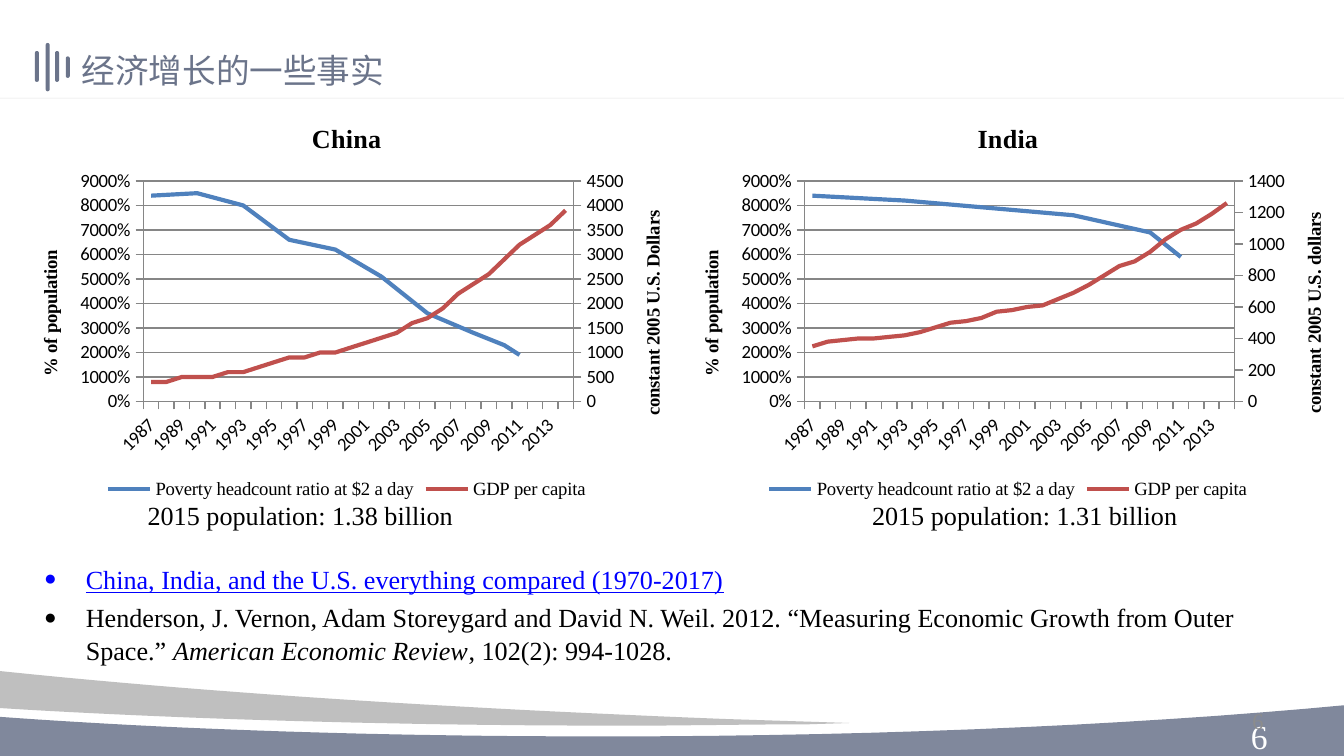
from copy import deepcopy
from dataclasses import dataclass

from lxml import etree
from pptx import Presentation
from pptx import util as u
from pptx.chart.data import CategoryChartData
from pptx.dml.color import RGBColor
from pptx.enum import chart as ch
from pptx.enum import shapes, text
from pptx.oxml.ns import qn

SERIF = "Times New Roman"
SLATE = "6B748A"
BLACK = "000000"
NBSP = chr(160)
CELL = u.Inches(0.1)
COLS, ROWS = 100, 56.25
YEARS = [str(y) for y in range(1987, 2015)]


@dataclass
class Panel:
    name: str
    col: float
    unit: str
    top: int
    step: int
    poverty: dict[int, int]
    gdp: list[int]


@dataclass
class Bar:
    col: float
    row: float
    height: float


PANELS = [
    Panel("China", 0.8, "constant 2005 U.S. Dollars", 4500, 500,
          {1987: 84, 1990: 85, 1993: 80, 1996: 66, 1999: 62, 2002: 51,
           2005: 36, 2008: 28, 2010: 23, 2011: 19},
          [400, 400, 500, 500, 500, 600, 600, 700, 800, 900, 900, 1000, 1000, 1100,
           1200, 1300, 1400, 1600, 1700, 1900, 2200, 2400, 2600, 2900, 3200, 3400,
           3600, 3900]),
    Panel("India", 50, "constant 2005 U.S. dollars", 1400, 200,
          {1987: 84, 1993: 82, 2004: 76, 2009: 69, 2011: 59},
          [350, 380, 390, 400, 400, 410, 420, 440, 470, 500, 510, 530, 570, 580,
           600, 610, 650, 690, 740, 800, 860, 890, 950, 1030, 1090, 1130, 1190, 1260]),
]
BARS = [Bar(3.4, 3.2, 3.6), Bar(2.6, 3.8, 2.3), Bar(4.1, 3.8, 2.3), Bar(4.9, 4.2, 1.6)]
BLUE_WAVE = [(125, 49), (125, ROWS), (-8.3, ROWS), (-8.3, 52.7), (-0.6, 53.3),
             [(12.9, 54.3), (28.4, 54.8), (44.9, 54.8)],
             [(77.9, 54.8), (106.9, 52.6), (124.1, 49.2)]]
GREY_WAVE = [(-8.3, 49), (-1.3, 49.8), [(14.6, 51.5), (33.3, 52.7), (53.9, 53.5)],
             (63.2, 53.8), (60.1, 53.9), [(55.7, 53.9), (51.1, 54), (46.4, 54)],
             [(27.7, 54), (10.8, 53.4), (-1.4, 52.6)], (-8.3, 52)]


def cells(*values: float) -> list[int]:
    return [round(v * CELL) for v in values]


def rgb(value: str) -> RGBColor:
    return RGBColor.from_string(value)


def paint(sp, color: str) -> None:
    sp.shadow.inherit = False
    sp.fill.solid()
    sp.fill.fore_color.rgb = rgb(color)
    sp.line.fill.background()


def style(font, size: float, color: str = BLACK, name: str = SERIF, **flags) -> None:
    font.size, font.name = u.Pt(size), name
    font.color.rgb = rgb(color)
    for flag, value in flags.items():
        setattr(font, flag, value)


def write(p, content: str, size: float = 14, color: str = BLACK, name: str = SERIF,
          **flags):
    r = p.add_run()
    r.text = content
    style(r.font, size, color, name, **flags)
    etree.SubElement(r.font._element, qn("a:ea"), typeface=name)
    return r


def add_box(slide, *place: float, anchor=text.MSO_ANCHOR.TOP):
    tf = slide.shapes.add_textbox(*cells(*place)).text_frame
    tf.word_wrap = True
    tf.vertical_anchor = anchor
    return tf


def add_wave(slide, outline: list, color: str) -> None:
    points = []
    for part in outline:
        if isinstance(part, tuple):
            points.append(part)
            continue
        a, (b, c, d) = points[-1], part
        for t in (i / 24 for i in range(1, 25)):
            s = 1 - t
            points.append(tuple(s**3 * a[k] + 3 * s * s * t * b[k]
                                + 3 * s * t * t * c[k] + t**3 * d[k] for k in (0, 1)))
    start, *rest = [cells(*point) for point in points]
    builder = slide.shapes.build_freeform(*start)
    builder.add_line_segments(rest, close=True)
    paint(builder.convert_to_shape(), color)


def style_line(line, width: float, color: str) -> None:
    line.width = u.Pt(width)
    line.color.rgb = rgb(color)


def style_axis(axis) -> None:
    axis.major_tick_mark = ch.XL_TICK_MARK.OUTSIDE
    style_line(axis.format.line, 0.75, "868686")
    style(axis.tick_labels.font, 10, name="Calibri")


def add_right_axis(chart, panel: Panel) -> None:
    area = chart.element.find(".//" + qn("c:plotArea"))
    left = area.find(qn("c:lineChart"))
    right = deepcopy(left)
    left.remove(left.findall(qn("c:ser"))[1])
    right.remove(right.findall(qn("c:ser"))[0])
    left.addnext(right)
    cat, val = (deepcopy(area.find(qn(tag))) for tag in ("c:catAx", "c:valAx"))
    for ref, axis, ident in zip(right.findall(qn("c:axId")), (cat, val), ("501", "502")):
        ref.set("val", ident)
        axis.find(qn("c:axId")).set("val", ident)
    cat.find(qn("c:crossAx")).set("val", "502")
    cat.find(qn("c:delete")).set("val", "1")
    val.remove(val.find(qn("c:majorGridlines")))
    for tag, value in {"crossAx": "501", "crosses": "max", "axPos": "r",
                       "scaling/c:max": str(panel.top),
                       "majorUnit": str(panel.step)}.items():
        val.find("c:" + tag, val.nsmap).set("val", value)
    val.find(qn("c:numFmt")).set("formatCode", "General")
    val.find(".//" + qn("a:t")).text = panel.unit
    area.findall(qn("c:valAx"))[-1].addnext(val)
    val.addnext(cat)


def add_panel(slide, panel: Panel) -> None:
    data = CategoryChartData()
    data.categories = YEARS
    data.add_series("Poverty headcount ratio at $2 a day",
                    [panel.poverty.get(int(y)) for y in YEARS])
    data.add_series("GDP per capita", panel.gdp)
    chart = slide.shapes.add_chart(ch.XL_CHART_TYPE.LINE, *cells(panel.col, 7.6, 50, 30),
                                   data).chart
    style(chart.font, 10, name="Calibri")
    chart.has_title = True
    write(chart.chart_title.text_frame.paragraphs[0], panel.name, bold=True)
    chart.has_legend = True
    chart.legend.position = ch.XL_LEGEND_POSITION.BOTTOM
    chart.legend.include_in_layout = False
    style(chart.legend.font, 10)
    for series, color in zip(chart.plots[0].series, ("4F81BD", "C0504D")):
        series.smooth = False
        style_line(series.format.line, 2.25, color)

    cat, val = chart.category_axis, chart.value_axis
    style_axis(cat)
    style_axis(val)
    cat._element.find(qn("c:txPr")).find(qn("a:bodyPr")).set("rot", "-2700000")
    skip = etree.Element(qn("c:tickLblSkip"), val="2")
    cat._element.find(qn("c:noMultiLvlLbl")).addprevious(skip)
    val.minimum_scale, val.maximum_scale, val.major_unit = 0, 90, 10
    val.tick_labels.number_format = "0%"
    val.tick_labels.number_format_is_linked = False
    style_line(val.major_gridlines.format.line, 0.75, "868686")
    tf = val.axis_title.text_frame
    write(tf.paragraphs[0], "% of population", 10, bold=True)
    tf._txBody.bodyPr.set("rot", "-5400000")
    tf._txBody.bodyPr.set("vert", "horz")
    chart.element.find(".//" + qn("c:dispBlanksAs")).set("val", "span")
    add_right_axis(chart, panel)


def add_bullet(p, gap: float) -> None:
    pPr = p._p.get_or_add_pPr()
    pPr.set("marL", str(u.Inches(0.5)))
    pPr.set("indent", str(u.Inches(-0.31)))
    etree.SubElement(pPr, qn("a:buSzPct"), val="80000")
    etree.SubElement(pPr, qn("a:buFont"), typeface=SERIF)
    etree.SubElement(pPr, qn("a:buChar"), char="●")
    p.space_before = u.Pt(gap)
    p.line_spacing = 1.05


def add_captions(slide) -> None:
    p = add_box(slide, 0, 36.7, 96.7, 3.4).paragraphs[0]
    tabs = etree.SubElement(p._p.get_or_add_pPr(), qn("a:tabLst"))
    for stop in cells(10, 63.9):
        etree.SubElement(tabs, qn("a:tab"), pos=str(stop), algn="l")
    write(p, "\t2015 population: 1.38 billion\t2015 population: 1.31 billion")


def add_references(slide) -> None:
    tf = add_box(slide, 0.4, 41.3, 100, 8.5)
    p = tf.paragraphs[0]
    add_bullet(p, 0)
    write(p, "China, India, and the U.S. everything compared (1970-2017)",
          color="0000FF", underline=True)
    p = tf.add_paragraph()
    add_bullet(p, 3)
    write(p, f"Henderson, J. Vernon, Adam Storeygard and David N. Weil.{NBSP}2012.{NBSP}"
             f"“Measuring Economic Growth from Outer Space.”{NBSP}")
    write(p, "American Economic Review", italic=True)
    write(p, f",{NBSP}102(2): 994-1028.")


def add_heading(slide) -> None:
    write(add_box(slide, 5.1, 3.2, 73.2, 4).paragraphs[0], "经济增长的一些事实", 18, SLATE,
          "Noto Sans CJK SC")
    group = slide.shapes.add_group_shape()
    for bar in BARS:
        sp = group.shapes.add_shape(shapes.MSO_SHAPE.ROUNDED_RECTANGLE,
                                    *cells(bar.col, bar.row, 0.3, bar.height))
        sp.adjustments[0] = 0.5
        paint(sp, SLATE)
    rule = slide.shapes.add_connector(shapes.MSO_CONNECTOR.STRAIGHT,
                                      *cells(0, 7.3, COLS, 7.3))
    style_line(rule.line, 0.25, "808080")
    color = rule._element.find(".//" + qn("a:srgbClr"))
    etree.SubElement(color, qn("a:alpha"), val="22000")
    etree.SubElement(rule._element.spPr, qn("a:effectLst"))


def main() -> None:
    prs = Presentation()
    prs.slide_width, prs.slide_height = cells(COLS, ROWS)
    slide = prs.slides.add_slide(prs.slide_layouts[6])
    add_wave(slide, BLUE_WAVE, "80889C")
    add_wave(slide, GREY_WAVE, "BFBFBF")
    write(add_box(slide, 92.1, 52.8, 23.3, 3).paragraphs[0], "6", 18, "FFFFFF")
    for panel in PANELS:
        add_panel(slide, panel)
    add_captions(slide)
    add_references(slide)
    p = add_box(slide, 71.7, 52.1, 23.3, 3, anchor=text.MSO_ANCHOR.MIDDLE).paragraphs[0]
    p.alignment = text.PP_ALIGN.RIGHT
    write(p, "6", 12, "8C8C8C")
    add_heading(slide)
    prs.save("out.pptx")


if __name__ == "__main__":
    main()
